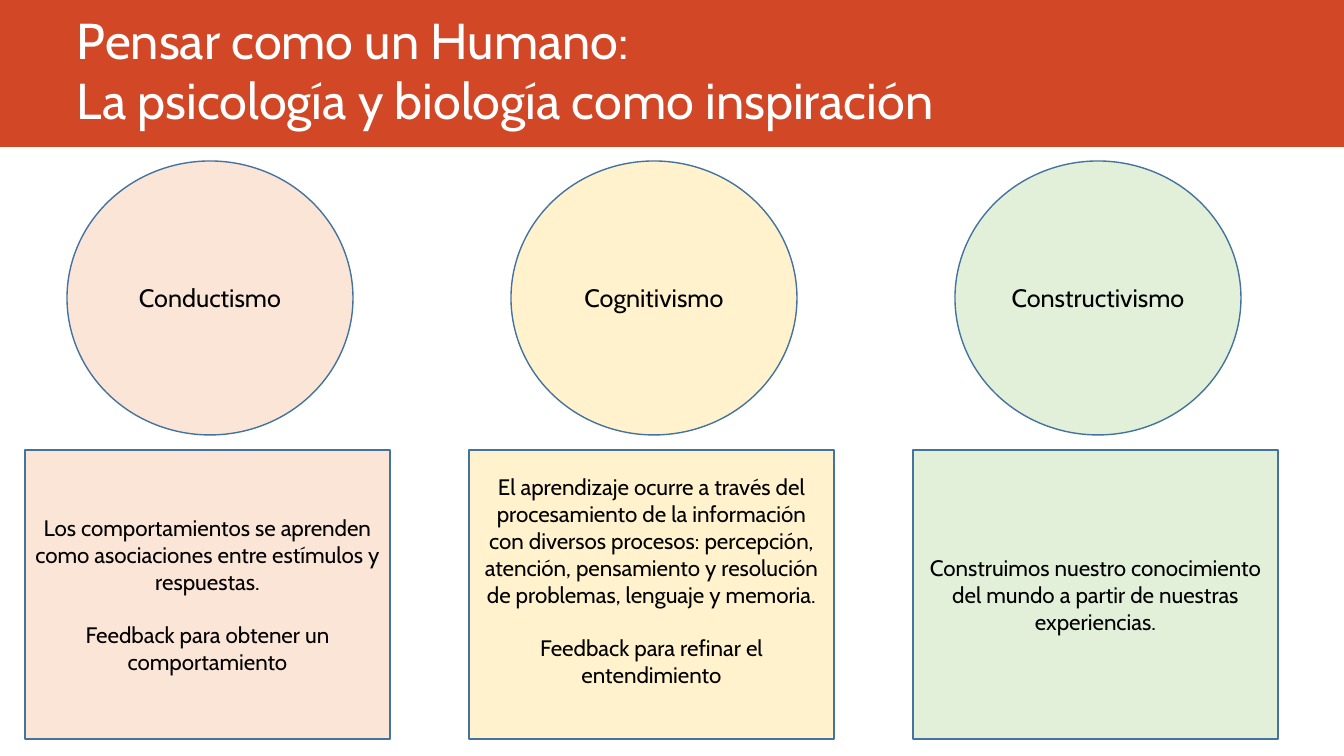
from pptx import Presentation
from pptx.dml.color import RGBColor
from pptx.enum.shapes import MSO_SHAPE
from pptx.enum.text import MSO_ANCHOR, PP_ALIGN
from pptx.util import Emu, Pt

RECTANGLE, OVAL = MSO_SHAPE.RECTANGLE, MSO_SHAPE.OVAL
MIDDLE, BOTTOM = MSO_ANCHOR.MIDDLE, MSO_ANCHOR.BOTTOM
LEFT, CENTER = PP_ALIGN.LEFT, PP_ALIGN.CENTER

SLIDE_WIDTH, SLIDE_HEIGHT = 1344, 756
EMU_PER_PX = 12192000 / SLIDE_WIDTH
COLUMN_STEP = 444
BLANK_LAYOUT = 6

COLORS = {
    "band": "D24726",
    "white": "FFFFFF",
    "black": "000000",
    "outline": "43739E",
    "peach": "FBE5D6",
    "yellow": "FFF2CC",
    "green": "E2F0D9",
}

TITLE = "Pensar como un Humano:\vLa psicología y biología como inspiración"

# Name, colour, paragraphs and bottom inset of each theory
THEORIES = [
    ("Conductismo", "peach", [
        "Los comportamientos se aprenden como asociaciones entre estímulos y respuestas.",
        "Feedback para obtener un comportamiento"], 5),
    ("Cognitivismo", "yellow", [
        "El aprendizaje ocurre a través del procesamiento de la información con diversos "
        "procesos: percepción, atención, pensamiento y resolución de problemas, lenguaje "
        "y memoria.",
        "Feedback para refinar el entendimiento"], 32),
    ("Constructivismo", "green", [
        "Construimos nuestro conocimiento del mundo a partir de nuestras experiencias."], 5),
]


def px(length):
    return Emu(round(length * EMU_PER_PX))


def color(name):
    return RGBColor.from_string(COLORS[name])


def write_text(shape, paragraphs, *, font, size, ink="black", align=CENTER,
               anchor=MIDDLE, gap=0, bottom=5):
    frame = shape.text_frame
    frame.word_wrap = True
    frame.vertical_anchor = anchor
    frame.margin_bottom = px(bottom)
    for index, text in enumerate(paragraphs):
        paragraph = frame.add_paragraph() if index else frame.paragraphs[0]
        paragraph.text = text
        paragraph.alignment = align
        if index:
            paragraph.space_before = Pt(gap)
        for run in paragraph.runs:
            run.font.name = font
            run.font.size = Pt(size)
            run.font.color.rgb = color(ink)


class SlideBuilder:
    def __init__(self, slide, font):
        self.slide = slide
        self.font = font

    def shape(self, kind, box, fill, outline=None):
        shape = self.slide.shapes.add_shape(kind, *map(px, box))
        shape.shadow.inherit = False
        shape.fill.solid()
        shape.fill.fore_color.rgb = color(fill)
        if outline:
            shape.line.color.rgb = color(outline)
            shape.line.width = Pt(1)
        else:
            shape.line.fill.background()
        return shape

    def text_box(self, box, paragraphs, **text_format):
        shape = self.slide.shapes.add_textbox(*map(px, box))
        write_text(shape, paragraphs, font=self.font, **text_format)

    def labelled_shape(self, kind, box, fill, paragraphs, **text_format):
        shape = self.shape(kind, box, fill, "outline")
        write_text(shape, paragraphs, font=self.font, **text_format)


def main():
    presentation = Presentation()
    presentation.slide_width = px(SLIDE_WIDTH)
    presentation.slide_height = px(SLIDE_HEIGHT)
    slide = presentation.slides.add_slide(presentation.slide_layouts[BLANK_LAYOUT])
    builder = SlideBuilder(slide, "Cabin")

    # Title band
    builder.shape(RECTANGLE, (0, 0, SLIDE_WIDTH, 147), "band")
    builder.text_box((67, 0, 1184, 135), [TITLE], size=36, ink="white",
                     align=LEFT, anchor=BOTTOM)

    # One column per theory: circle above, description below
    for column, (name, fill, description, bottom) in enumerate(THEORIES):
        offset = column * COLUMN_STEP
        builder.labelled_shape(OVAL, (67 + offset, 161, 286, 274), fill, [name], size=18)
        builder.labelled_shape(RECTANGLE, (25 + offset, 450, 365, 289), fill,
                               description, size=16, gap=19, bottom=bottom)

    presentation.save("out.pptx")


if __name__ == "__main__":
    main()
